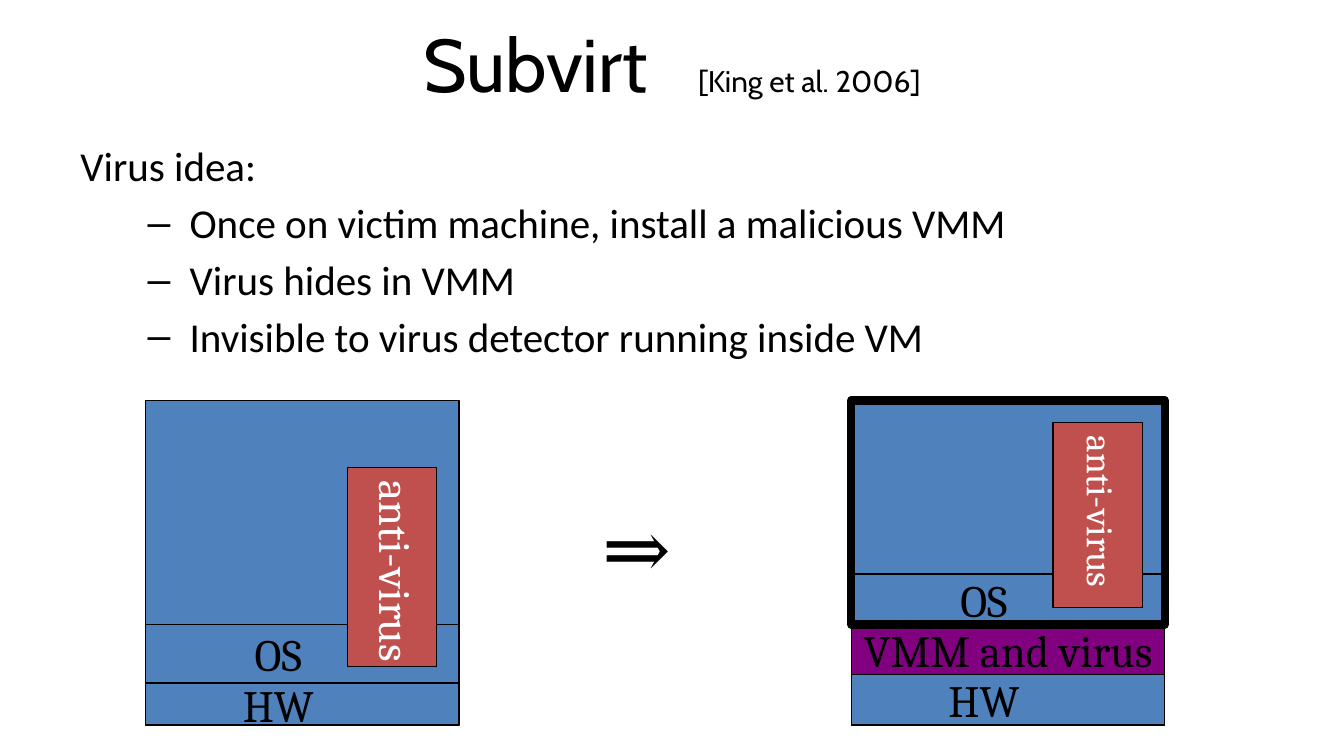
from lxml.etree import SubElement
from pptx import Presentation
from pptx.dml.color import RGBColor
from pptx.enum.shapes import MSO_SHAPE
from pptx.enum.text import MSO_ANCHOR, MSO_AUTO_SIZE, PP_ALIGN
from pptx.oxml.ns import qn
from pptx.util import Pt

COLORS = {"black": "000000", "white": "FFFFFF", "layer": "4F81BD", "virus": "800080", "detector": "C0504D"}


def style(font, name, size, color="black"):
    font.name = name
    font.size = Pt(size)
    font.color.rgb = RGBColor.from_string(COLORS[color])


def add_block(left, top, width, height, fill, label="", size=24, color="black", line=0.75):
    block = slide.shapes.add_shape(MSO_SHAPE.RECTANGLE, Pt(left), Pt(top), Pt(width), Pt(height))
    block.shadow.inherit = False
    if fill:
        block.fill.solid()
        block.fill.fore_color.rgb = RGBColor.from_string(COLORS[fill])
    else:
        block.fill.background()
    block.line.color.rgb = RGBColor.from_string(COLORS["black"])
    block.line.width = Pt(line)
    if label:
        frame = block.text_frame
        frame.word_wrap = False
        frame.vertical_anchor = MSO_ANCHOR.MIDDLE
        paragraph = frame.paragraphs[0]
        paragraph.text = label
        paragraph.alignment = PP_ALIGN.CENTER
        style(paragraph.font, "Cambria", size, color)
    return block


prs = Presentation()
prs.slide_width, prs.slide_height = Pt(720), Pt(405)
slide = prs.slides.add_slide(prs.slide_layouts[5])

title = slide.shapes.title
title.left, title.top, title.width, title.height = Pt(36), Pt(0), Pt(648), Pt(67.5)
title.text_frame.auto_size = MSO_AUTO_SIZE.NONE
title.text_frame.vertical_anchor = MSO_ANCHOR.MIDDLE
heading = title.text_frame.paragraphs[0]
heading.alignment = PP_ALIGN.CENTER
for text, size, spacing in [("Subvirt", 40, 0), (" ", 40, 18), ("[King et al. 2006]", 16, 0)]:
    run = heading.add_run()
    run.text = text
    style(run.font, "Cabin", size)
    if spacing:
        run.font._element.set("spc", str(spacing * 100))

idea = slide.shapes.add_textbox(Pt(36), Pt(70.5), Pt(660), Pt(315)).text_frame
idea.word_wrap = True
idea.margin_top = Pt(5)
idea_lines = [
    "Virus idea:",
    "Once on victim machine, install a malicious VMM",
    "Virus hides in VMM",
    "Invisible to virus detector running inside VM",
]
for index, text in enumerate(idea_lines):
    paragraph = idea.paragraphs[0] if index == 0 else idea.add_paragraph()
    paragraph.text = text
    if index:
        paragraph.level = 1
        paragraph.space_before = Pt(4)
        properties = paragraph._p.get_or_add_pPr()
        properties.set("marL", str(Pt(58.5)))
        properties.set("indent", str(Pt(-22.5)))
        SubElement(properties, qn("a:buFont")).set("typeface", "Arial")
        SubElement(properties, qn("a:buChar")).set("char", "–")
    style(paragraph.font, "Calibri", 22)

clean_left, infected_left, machine_top, machine_width = 78, 456, 214.5, 168
machines = [
    (clean_left, [("HW", 366, 22.5, "layer"), ("OS", 334.5, 31.5, "layer")], 250.5, 106.5, 24),
    (infected_left, [("HW", 361.5, 27, "layer"), ("OS", 307.5, 27, "layer"),
                     ("VMM and virus", 334.5, 27, "virus")], 226.5, 99, 20),
]
for left, layers, detector_top, detector_height, detector_size in machines:
    add_block(left, machine_top, machine_width, 174, "layer")
    for label, top, height, fill in layers:
        layer = add_block(left, top, machine_width, height, fill, label)
        if fill == "layer":
            layer.text_frame.margin_right = Pt(33)
    detector = add_block(left + 108, detector_top, 48, detector_height, "detector",
                         "anti-virus", detector_size, "white")
    detector.text_frame._txBody.bodyPr.set("vert", "eaVert")
    detector.text_frame.paragraphs[0].line_spacing = 0.8

add_block(infected_left, machine_top, machine_width, 120, None, line=4.5)

implies = slide.shapes.add_textbox(Pt(312), Pt(262.5), Pt(58.5), Pt(60.5)).text_frame
implies.word_wrap = False
implies.auto_size = MSO_AUTO_SIZE.SHAPE_TO_FIT_TEXT
implication = implies.paragraphs[0]
implication.text = "⇒"
implication.alignment = PP_ALIGN.CENTER
style(implication.font, "Cambria", 44)

prs.save("out.pptx")
